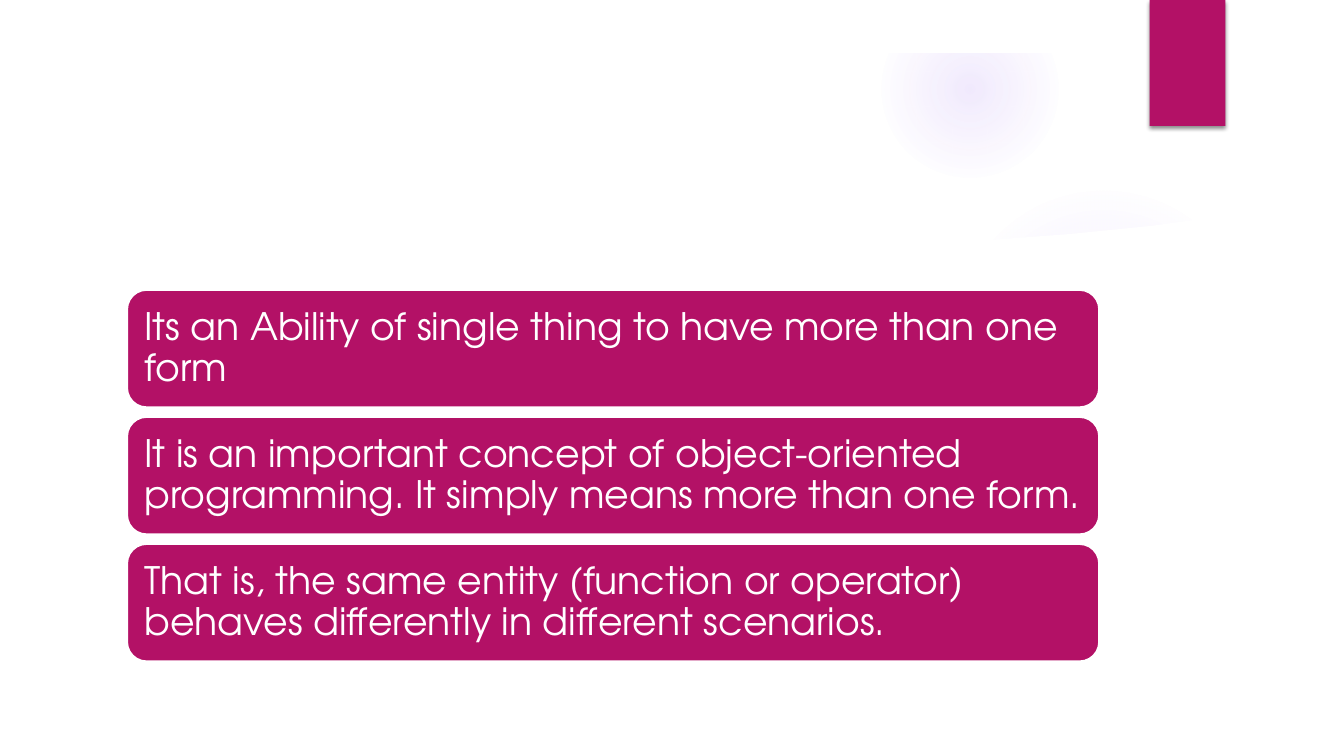
from lxml import etree
from pptx import Presentation
from pptx import util as u
from pptx.dml.color import RGBColor
from pptx.enum import shapes, text
from pptx.oxml import ns

MAGENTA = RGBColor(0xB3, 0x11, 0x66)
VIOLET = RGBColor(0x9B, 0x6B, 0xF2)
WHITE = RGBColor(0xFF, 0xFF, 0xFF)
BLACK = RGBColor(0x00, 0x00, 0x00)

STATEMENTS = [
    "Its an Ability of single thing to have more than one form",
    "It is an important concept of object-oriented programming. "
    "It simply means more than one form.",
    "That is, the same entity (function or operator) behaves differently "
    "in different scenarios.",
]
PANEL_OUTLINE = [
    (48, 196), (207, 215), (385, 228), (655, 238), (832, 235), (937, 229),
    (1018, 223), (1098, 215), (1233, 196), (1233, 672), (48, 672),
]


def px(n):
    return u.Emu(n * 9525)


def add_xml(parent, tag, **attrs):
    return etree.SubElement(parent, ns.qn(tag), {k: str(v) for k, v in attrs.items()})


def add_color(parent, color, percent):
    node = add_xml(parent, "a:srgbClr", val=color)
    add_xml(node, "a:alpha", val=percent * 1000)


class Deck:
    font = "TeX Gyre Adventor"
    size = u.Pt(27)

    def __init__(self, width, height):
        self.prs = Presentation()
        self.prs.slide_width, self.prs.slide_height = px(width), px(height)
        self.slide = self.prs.slides.add_slide(self.prs.slide_layouts[6])

    def paint(self, sp, color):
        sp.shadow.inherit = False
        sp.fill.solid()
        sp.fill.fore_color.rgb = color
        sp.line.fill.background()
        return sp

    def shape(self, kind, x, y, w, h, color):
        sp = self.slide.shapes.add_shape(kind, px(x), px(y), px(w), px(h))
        return self.paint(sp, color)

    def outline(self, points, color):
        builder = self.slide.shapes.build_freeform(*points[0], scale=px(1))
        builder.add_line_segments(points[1:], close=True)
        return self.paint(builder.convert_to_shape(), color)

    def glow(self, x, y, size, stops):
        sp = self.shape(shapes.MSO_SHAPE.OVAL, x, y, size, size, VIOLET)
        solid = sp._element.spPr.find(ns.qn("a:solidFill"))
        grad = etree.Element(ns.qn("a:gradFill"), rotWithShape="1")
        stop_list = add_xml(grad, "a:gsLst")
        for position, alpha in stops:
            add_color(add_xml(stop_list, "a:gs", pos=position * 1000), VIOLET, alpha)
        circle = add_xml(grad, "a:path", path="circle")
        add_xml(circle, "a:fillToRect", l=50000, t=50000, r=50000, b=50000)
        solid.getparent().replace(solid, grad)

    def drop_shadow(self, sp):
        effects = sp._element.spPr.find(ns.qn("a:effectLst"))
        shadow = add_xml(effects, "a:outerShdw", blurRad=u.Pt(3), dist=u.Pt(2),
                         dir=90 * 60000, rotWithShape=0)
        add_color(shadow, BLACK, 45)

    def card(self, x, y, w, h, words):
        sp = self.shape(shapes.MSO_SHAPE.ROUNDED_RECTANGLE, x, y, w, h, MAGENTA)
        sp.line.color.rgb = WHITE
        sp.line.width = u.Pt(1.5)
        tf = sp.text_frame
        tf.text = words
        tf.word_wrap = True
        tf.vertical_anchor = text.MSO_ANCHOR.MIDDLE
        tf.margin_left = tf.margin_top = tf.margin_bottom = px(11)
        tf.margin_right = px(10)
        p = tf.paragraphs[0]
        p.alignment = text.PP_ALIGN.LEFT
        p.line_spacing = 0.9
        r = p.runs[0]
        r.font.name, r.font.size = self.font, self.size
        r.font.color.rgb = WHITE


def main():
    deck = Deck(1280, 720)

    # Soft glows, partly covered by the white panel and border
    deck.glow(903, 176, 296, [(0, 7), (36, 6), (69, 0)])
    deck.glow(840, 1, 168, [(0, 14), (36, 7), (73, 0)])
    deck.outline(PANEL_OUTLINE, WHITE)
    border = deck.shape(shapes.MSO_SHAPE.FRAME, 0, 0, 1280, 720, WHITE)
    border.adjustments[0] = 0.07

    # Corner tag
    tag = deck.shape(shapes.MSO_SHAPE.RECTANGLE, 1095, 0, 72, 120, MAGENTA)
    deck.drop_shadow(tag)

    # Statement cards
    for i, words in enumerate(STATEMENTS):
        deck.card(121, 276 + 121 * i, 926, 112, words)

    deck.prs.save("out.pptx")


if __name__ == "__main__":
    main()
